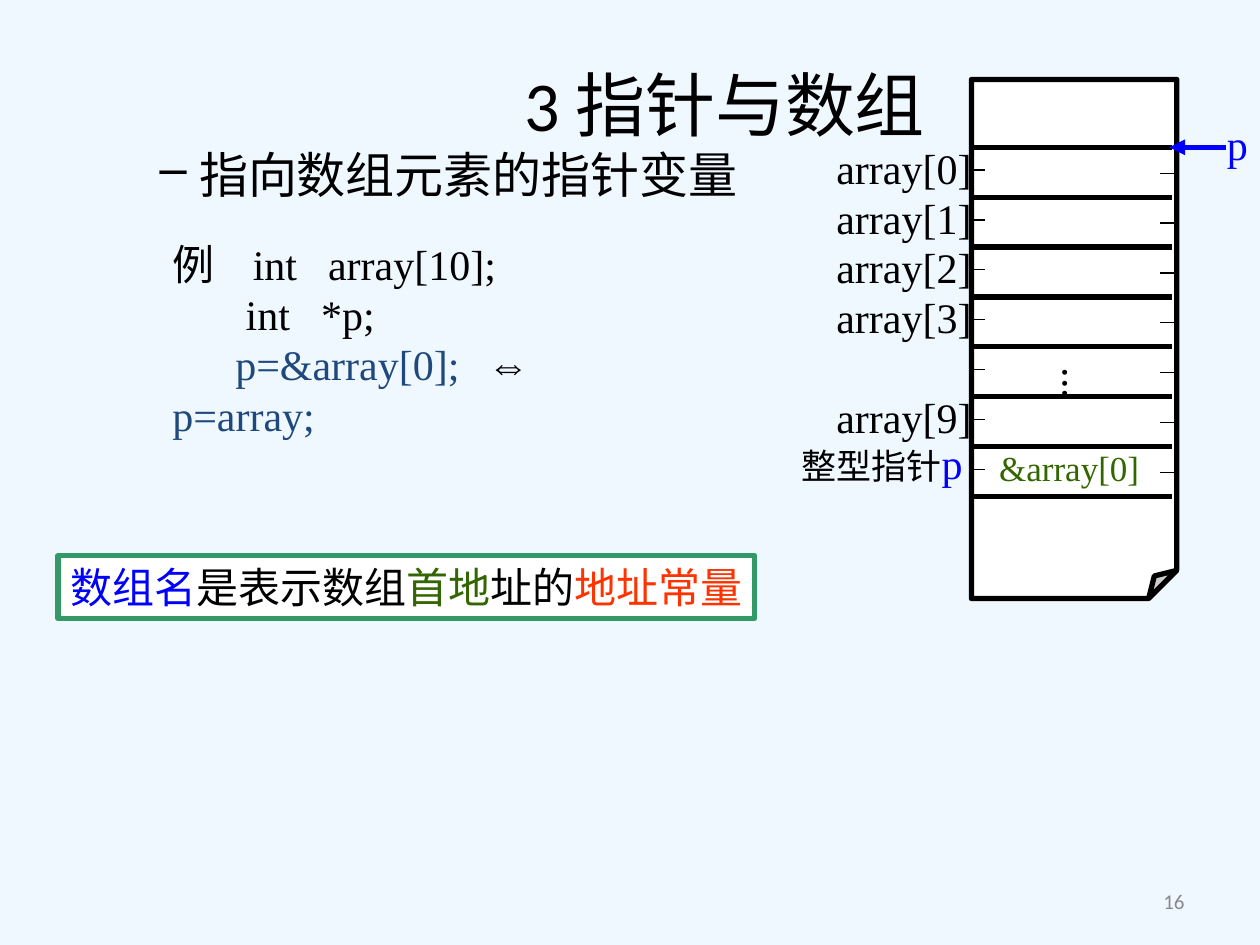
from dataclasses import dataclass

from lxml import etree
from pptx import Presentation
from pptx.dml.color import RGBColor
from pptx.enum.shapes import MSO_CONNECTOR, MSO_SHAPE
from pptx.enum.text import MSO_ANCHOR, MSO_AUTO_SIZE, PP_ALIGN
from pptx.oxml.ns import qn
from pptx.util import Pt

STRAIGHT = MSO_CONNECTOR.STRAIGHT
FOLDED_CORNER = MSO_SHAPE.FOLDED_CORNER
RECTANGLE = MSO_SHAPE.RECTANGLE
MIDDLE = MSO_ANCHOR.MIDDLE
NO_AUTOFIT = MSO_AUTO_SIZE.NONE
LEFT, CENTER, RIGHT = PP_ALIGN.LEFT, PP_ALIGN.CENTER, PP_ALIGN.RIGHT


@dataclass(frozen=True)
class Theme:
    """Colours, fonts and type sizes of the slide."""
    background: str = "F0F8FF"
    paper: str = "FFFFFF"
    ink: str = "000000"
    blue: str = "0000FF"
    navy: str = "1F497D"
    green: str = "336600"
    frame: str = "339966"
    red: str = "FF3300"
    gray: str = "898989"
    heading_font: str = "Calibri"
    code_font: str = "Times New Roman"
    symbol_font: str = "Arial"
    title: int = 40
    subtitle: int = 28
    code: int = 24
    small: int = 20
    footer: int = 12
    thick: float = 3
    thin: float = 0.75


THEME = Theme()
CELL_LEFT, CELL_RIGHT = 555.1, 669.6
CELL_TOP, CELL_HEIGHT, CELL_COUNT = 84.2, 28.5, 7


def add_run(paragraph, text, color=THEME.ink, size=THEME.code, font=THEME.code_font):
    """Append one formatted run."""
    run = paragraph.add_run()
    run.text = text
    run.font.size = Pt(size)
    run.font.name = font
    run.font.color.rgb = RGBColor.from_string(color)


def format_frame(frame, wrap):
    """Centre the text vertically and fix the frame's size."""
    frame.auto_size = NO_AUTOFIT
    frame.word_wrap = wrap
    frame.vertical_anchor = MIDDLE


def add_text(shapes, box, runs, align=CENTER, wrap=False):
    """Add a text box holding one paragraph of runs."""
    shape = shapes.add_textbox(*map(Pt, box))
    format_frame(shape.text_frame, wrap)
    paragraph = shape.text_frame.paragraphs[0]
    paragraph.alignment = align
    for run in runs:
        add_run(paragraph, *run)
    return shape


def add_panel(shapes, kind, box, line_color):
    """Add a white preset shape with a thick outline."""
    shape = shapes.add_shape(kind, *map(Pt, box))
    shape.shadow.inherit = False
    shape.fill.solid()
    shape.fill.fore_color.rgb = RGBColor.from_string(THEME.paper)
    shape.line.color.rgb = RGBColor.from_string(line_color)
    shape.line.width = Pt(THEME.thick)
    return shape


def add_line(shapes, start, end, width, color=THEME.ink, arrow=False):
    """Add a straight line, with an arrowhead at its end if asked."""
    line = shapes.add_connector(STRAIGHT, *map(Pt, (*start, *end)))
    line.line.width = Pt(width)
    line.line.color.rgb = RGBColor.from_string(color)
    if arrow:
        etree.SubElement(line.line._get_or_add_ln(), qn("a:tailEnd"), type="triangle")
    etree.SubElement(line._element.spPr, qn("a:effectLst"))


def add_tabs(paragraph, positions):
    """Give a paragraph left tab stops."""
    tabs = etree.SubElement(paragraph._p.get_or_add_pPr(), qn("a:tabLst"))
    for position in positions:
        etree.SubElement(tabs, qn("a:tab"), pos=str(Pt(position)), algn="l")


def add_headings(slide):
    """Fill the title and add the dashed subtitle."""
    title = slide.shapes.title
    title.left, title.top, title.width, title.height = map(Pt, (108, 30.2, 612, 57.6))
    format_frame(title.text_frame, True)
    paragraph = title.text_frame.paragraphs[0]
    paragraph.alignment = CENTER
    add_run(paragraph, "3 指针与数组", THEME.ink, THEME.title, THEME.heading_font)

    subtitle = add_text(
        slide.shapes, (48.2, 77, 480, 45),
        [("指向数组元素的指针变量", THEME.ink, THEME.subtitle, THEME.heading_font)], LEFT, True)
    properties = subtitle.text_frame.paragraphs[0]._p.get_or_add_pPr()
    properties.set("marL", str(Pt(58.5)))
    properties.set("indent", str(-Pt(22.5)))
    etree.SubElement(properties, qn("a:buChar"), char="–")


def add_code(shapes):
    """Add the declaration example."""
    lines = [
        ((46, 89), [("例\tint\tarray[10];",)]),
        ((85,), [("       int\t*p;",)]),
        ((180,), [("      ",), ("p=&array[0];\t", THEME.navy),
                  ("⇔ ", THEME.ink, THEME.code, THEME.symbol_font),
                  ("p=array;", THEME.navy)]),
    ]
    shape = shapes.add_textbox(*map(Pt, (91.4, 146.9, 288, 93.6)))
    frame = shape.text_frame
    format_frame(frame, True)
    for index, (tabs, runs) in enumerate(lines):
        paragraph = frame.add_paragraph() if index else frame.paragraphs[0]
        add_tabs(paragraph, tabs)
        for run in runs:
            add_run(paragraph, *run)


def add_memory(shapes):
    """Draw the memory column with its cells, labels and pointer."""
    page = add_panel(shapes, FOLDED_CORNER, (CELL_LEFT, 45.4, 117.4, 296.6), THEME.ink)
    fold = page._element.spPr.find(qn("a:prstGeom")).get_or_add_avLst()
    etree.SubElement(fold, qn("a:gd"), name="adj", fmla="val 13700")
    for row in range(CELL_COUNT + 1):
        y = CELL_TOP + row * CELL_HEIGHT
        add_line(shapes, (CELL_LEFT, y), (CELL_RIGHT, y), THEME.thick)
    for left, offset in ((CELL_LEFT, 13), (663.1, 14.8)):
        for row in range(CELL_COUNT):
            y = CELL_TOP + offset + row * CELL_HEIGHT
            add_line(shapes, (left, y), (left + 7.9, y), THEME.thin)
    for row, index in enumerate((0, 1, 2, 3, None, 9)):
        if index is not None:
            top = CELL_TOP - 6.5 + row * CELL_HEIGHT
            add_text(shapes, (470.9, top, 91.4, 36), [(f"array[{index}]",)])

    dots = add_text(shapes, (595.4, 203, 43.2, 25.2), [("...",)])
    frame = dots.text_frame
    frame._txBody.bodyPr.set("vert", "eaVert")
    frame.margin_left = frame.margin_right = Pt(3.6)
    frame.margin_top = frame.margin_bottom = Pt(7.2)

    add_text(shapes, (448.6, 246.2, 110.9, 36),
             [("整型指针", THEME.ink, THEME.small), ("p", THEME.blue)])
    add_text(shapes, (563.8, 251.3, 94.3, 31.7), [("&array[0]", THEME.green, THEME.small)])
    add_line(shapes, (700.6, CELL_TOP), (668.2, CELL_TOP), THEME.thick, THEME.blue, arrow=True)
    add_text(shapes, (694.1, 64.1, 25.9, 36), [("p", THEME.blue)])


def add_note(shapes):
    """Add the framed remark about the array name."""
    note = add_panel(shapes, RECTANGLE, (33.1, 317.5, 398.2, 36), THEME.frame)
    format_frame(note.text_frame, False)
    paragraph = note.text_frame.paragraphs[0]
    paragraph.alignment = CENTER
    for text, color in (("数组名", THEME.blue), ("是表示数组", THEME.ink), ("首地", THEME.green),
                        ("址的", THEME.ink), ("地址常量", THEME.red)):
        add_run(paragraph, text, color)


def main():
    """Build and save the slide."""
    presentation = Presentation()
    presentation.slide_width, presentation.slide_height = Pt(720), Pt(540)
    slide = presentation.slides.add_slide(presentation.slide_layouts[5])
    slide.background.fill.solid()
    slide.background.fill.fore_color.rgb = RGBColor.from_string(THEME.background)
    add_headings(slide)
    add_code(slide.shapes)
    add_memory(slide.shapes.add_group_shape().shapes)
    add_note(slide.shapes)
    add_text(slide.shapes, (516.2, 500.4, 167.8, 28.8),
             [("16", THEME.gray, THEME.footer, THEME.heading_font)], RIGHT, True)
    presentation.save("out.pptx")


if __name__ == "__main__":
    main()
